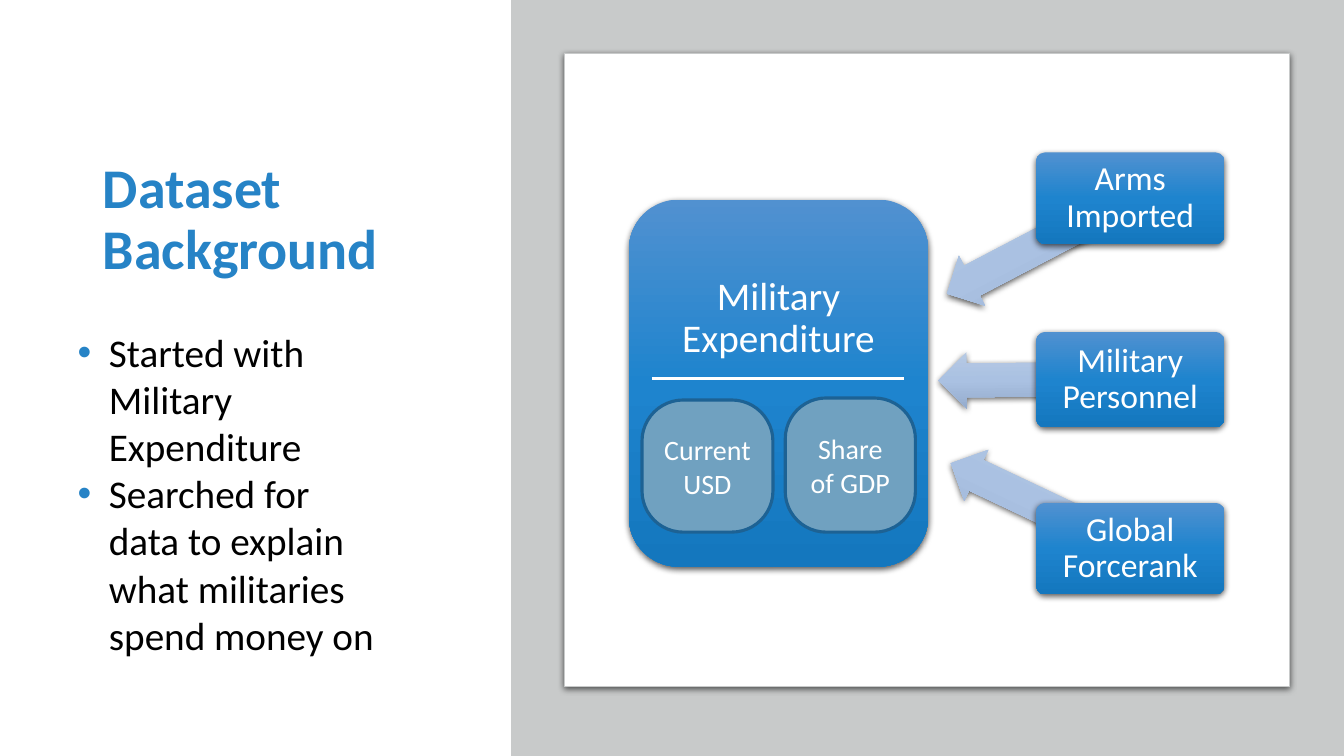
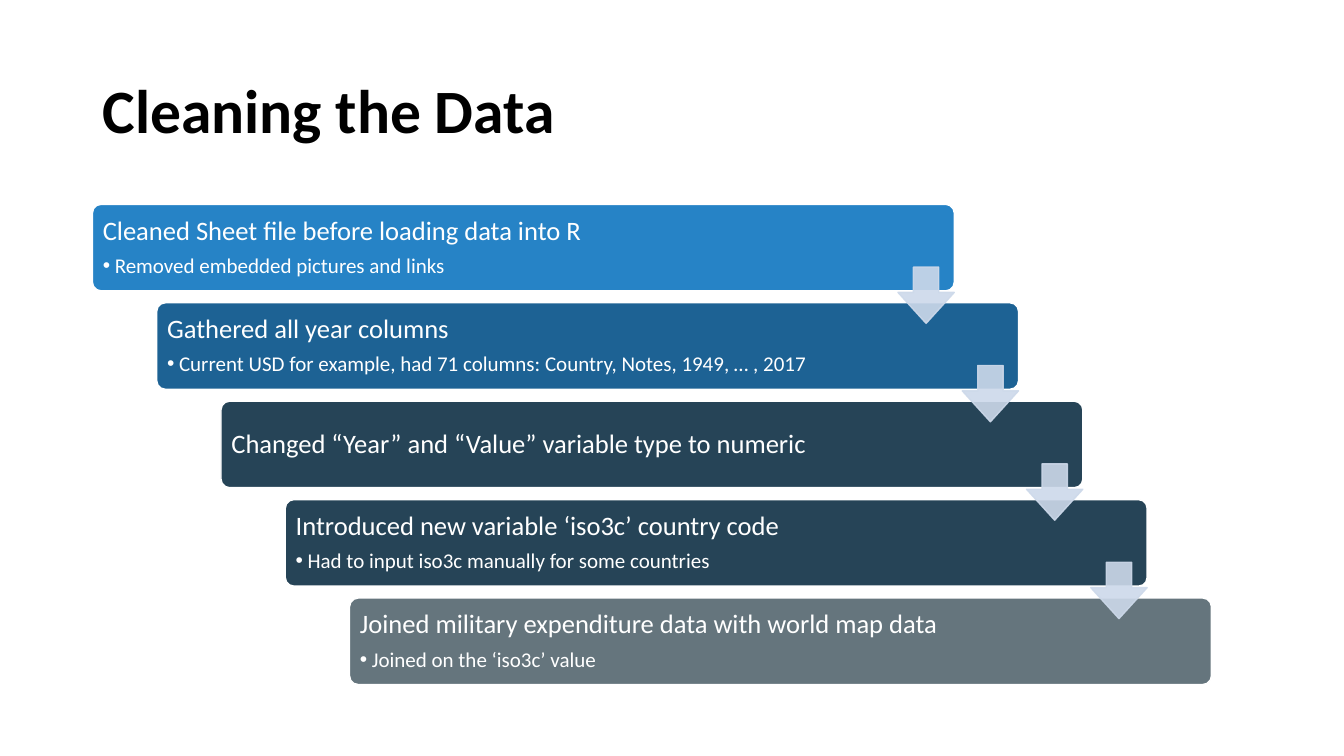
from dataclasses import dataclass

from pptx import Presentation
from pptx.dml.color import RGBColor
from pptx.enum.shapes import MSO_CONNECTOR, MSO_SHAPE as Shape
from pptx.enum.text import MSO_ANCHOR as Anchor, MSO_AUTO_SIZE as AutoSize, PP_ALIGN as Align
from pptx.oxml import parse_xml
from pptx.oxml.ns import nsdecls, qn
from pptx.oxml.xmlchemy import OxmlElement
from pptx.util import Cm, Pt

TITLE_AND_CONTENT, TITLE_ONLY = 1, 5


@dataclass(frozen=True)
class Theme:
    font: str = "Calibri"
    white: str = "FFFFFF"
    black: str = "000000"
    accent: str = "2683C6"
    navy: str = "1D6294"
    slate: str = "264457"
    steel: str = "65757D"
    grey: str = "C8CACA"
    pill: str = "70A1C0"
    pale: str = "CDD9EA"
    box_gradient: tuple = ("5191D0", "1E84CE", "1477BE")
    arrow_gradient: tuple = ("B7CAE4", "AAC1E2", "94ABCC")
    title: int = 44
    side_title: int = 40
    body: int = 28
    box: int = 24
    pill_text: int = 20
    step: int = 19
    detail: int = 15


class Deck:
    """Holds the style and the current slide."""

    def __init__(self, theme):
        self.theme = theme
        self.prs = Presentation()
        self.prs.slide_width, self.prs.slide_height = Cm(33.87), Cm(19.05)
        self.s = None

    def new_slide(self, layout):
        self.s = self.prs.slides.add_slide(self.prs.slide_layouts[layout])

    def _format(self, p, size, color, align=Align.LEFT, spacing=0.9, after=0, bold=False):
        p.alignment = align
        p.line_spacing = spacing
        p.space_before, p.space_after = Pt(0), Pt(after)
        for r in p.runs:
            font = r.font
            font.name, font.size, font.bold = self.theme.font, Pt(size), bold
            font.color.rgb = RGBColor.from_string(color)

    def _bullet(self, p, indent, color):
        """Hang a round bullet; call after the spacing is set."""
        pPr = p._p.get_or_add_pPr()
        pPr.set("marL", str(Cm(indent)))
        pPr.set("indent", str(-Cm(indent)))
        for xml in (f'<a:buClr {nsdecls("a")}><a:srgbClr val="{color}"/></a:buClr>',
                    f'<a:buFont {nsdecls("a")} typeface="Arial"/>',
                    f'<a:buChar {nsdecls("a")} char="•"/>'):
            pPr.append(parse_xml(xml))

    def _place(self, sp, at, anchor):
        sp.left, sp.top, sp.width, sp.height = map(Cm, at)
        tf = sp.text_frame
        tf.word_wrap, tf.auto_size, tf.vertical_anchor = True, AutoSize.NONE, anchor
        return tf

    def title(self, text, at, size, color, anchor=Anchor.MIDDLE):
        tf = self._place(self.s.shapes.title, at, anchor)
        tf.text = text
        self._format(tf.paragraphs[0], size, color, bold=True)

    def bullets(self, items, at):
        tf = self._place(self.s.placeholders[1], at, Anchor.TOP)
        tf.text = "\n".join(items)
        for p in tf.paragraphs:
            self._format(p, self.theme.body, self.theme.black, spacing=1.0)
            self._bullet(p, 0.79, self.theme.accent)

    def shape(self, kind, at, fill, line=None, width=1, adj=(), alpha=None):
        """Add a preset shape; a tuple as fill makes a vertical gradient."""
        sp = self.s.shapes.add_shape(kind, *map(Cm, at))
        sp.shadow.inherit = False
        for i, value in enumerate(adj):
            sp.adjustments[i] = value
        if isinstance(fill, tuple):
            self._gradient(sp, fill)
        else:
            sp.fill.solid()
            sp.fill.fore_color.rgb = RGBColor.from_string(fill)
        if line:
            sp.line.color.rgb = RGBColor.from_string(line)
            sp.line.width = Pt(width)
        else:
            sp.line.fill.background()
        if alpha:
            for color in sp._element.spPr.iter(qn("a:srgbClr")):
                color.append(parse_xml(f'<a:alpha {nsdecls("a")} val="{alpha * 1000}"/>'))
        return sp

    def _gradient(self, sp, colors):
        sp.fill.gradient()
        spPr = sp._element.spPr
        stops = "".join(f'<a:gs pos="{i * 50000}"><a:srgbClr val="{c}"/></a:gs>'
                        for i, c in enumerate(colors))
        spPr.replace(spPr.find(qn("a:gradFill")), parse_xml(
            f'<a:gradFill {nsdecls("a")} rotWithShape="1"><a:gsLst>{stops}</a:gsLst>'
            '<a:lin ang="5400000" scaled="0"/></a:gradFill>'))

    def raised(self, *args, **options):
        """Add a shape with a soft shadow below it."""
        sp = self.shape(*args, **options)
        sp._element.spPr.find(qn("a:effectLst")).append(parse_xml(
            f'<a:outerShdw {nsdecls("a")} blurRad="{Pt(4.5)}" dist="{Pt(1.5)}" dir="5400000"'
            ' rotWithShape="0"><a:srgbClr val="000000"><a:alpha val="63000"/></a:srgbClr>'
            '</a:outerShdw>'))
        return sp

    def label(self, sp, text, size, inset, anchor=Anchor.MIDDLE, top=None):
        """Write centred white text in a shape."""
        tf = self._frame(sp, inset, anchor)
        if top is not None:
            tf.margin_top = Cm(top)
        tf.text = text
        spacing = 1.0 if size == self.theme.pill_text else 0.9
        self._format(tf.paragraphs[0], size, self.theme.white, Align.CENTER, spacing)

    def _frame(self, sp, inset, anchor):
        tf = sp.text_frame
        tf.word_wrap, tf.vertical_anchor = True, anchor
        tf.margin_left = tf.margin_right = tf.margin_top = tf.margin_bottom = Cm(inset)
        return tf

    def step(self, at, fill, heading, detail):
        t = self.theme
        sp = self.shape(Shape.ROUNDED_RECTANGLE, at, fill, t.white, adj=(0.1,))
        tf = self._frame(sp, 0.2, Anchor.MIDDLE)
        tf.text = heading
        self._format(tf.paragraphs[0], t.step, t.white, after=6.6 if detail else 0)
        if detail:
            p = tf.add_paragraph()
            p.text, p.level = detail, 1
            self._format(p, t.detail, t.white, after=2)
            self._bullet(p, 0.3, t.white)

    def rule(self, x1, x2, y):
        line = self.s.shapes.add_connector(MSO_CONNECTOR.STRAIGHT, Cm(x1), Cm(y), Cm(x2), Cm(y))
        line.line.color.rgb = RGBColor.from_string(self.theme.white)
        line.line.width = Pt(2.25)
        line._element.spPr.append(OxmlElement("a:effectLst"))


def background_slide(deck):
    t = deck.theme
    deck.new_slide(TITLE_AND_CONTENT)
    deck.title("Dataset Background", (2.34, 3.91, 8.05, 3.6), t.side_title, t.accent, Anchor.TOP)
    deck.bullets(["Started with Military Expenditure",
                  "Searched for data to explain what militaries spend money on"],
                 (1.7, 8.15, 8.05, 8.64))
    deck.shape(Shape.RECTANGLE, (12.88, 0, 20.99, 19.05), t.grey)
    deck.raised(Shape.RECTANGLE, (14.22, 1.35, 18.29, 15.95), t.white, t.grey, 0.75)

    main = deck.raised(Shape.ROUNDED_RECTANGLE, (15.85, 5.03, 7.54, 9.25), t.box_gradient)
    deck.label(main, "Military Expenditure", t.body, 0.05, Anchor.TOP, top=1.57)

    sources = [
        ("Arms Imported", 3.84, 2.31, (23.6, 5.61, 4.67, 1.42), 332.4),
        ("Military Personnel", 8.36, 2.41, (23.65, 8.86, 4.83, 1.42), 359.5),
        ("Global Forcerank", 12.67, 2.31, (23.75, 11.91, 4.42, 1.42), 25.3),
    ]
    for text, top, height, arrow_at, angle in sources:
        arrow = deck.raised(Shape.LEFT_ARROW, arrow_at, t.arrow_gradient, adj=(0.6, 0.5))
        arrow.rotation = angle
        box = deck.raised(Shape.ROUNDED_RECTANGLE, (26.11, top, 4.75, height),
                          t.box_gradient, adj=(0.1,))
        deck.label(box, text, t.box, 0.13)

    for text, at in (("Current USD", (16.18, 10.08, 3.3, 3.33)),
                     ("Share of GDP", (19.79, 10.03, 3.28, 3.38))):
        pill = deck.shape(Shape.ROUNDED_RECTANGLE, at, t.pill, t.navy, 2.25, adj=(0.314,))
        deck.label(pill, text, t.pill_text, 0.24)
    deck.rule(16.43, 22.78, 9.53)


def cleaning_slide(deck):
    t = deck.theme
    deck.new_slide(TITLE_ONLY)
    deck.title("Cleaning the Data", (2.33, 1.01, 29.21, 3.68), t.title, t.black)
    steps = [
        (t.accent, "Cleaned Sheet file before loading data into R",
         "Removed embedded pictures and links"),
        (t.navy, "Gathered all year columns",
         "Current USD for example, had 71 columns: Country, Notes, 1949, … , 2017"),
        (t.slate, "Changed “Year” and “Value” variable type to numeric", None),
        (t.slate, "Introduced new variable ‘iso3c’ country code",
         "Had to input iso3c manually for some countries"),
        (t.steel, "Joined military expenditure data with world map data",
         "Joined on the ‘iso3c’ value"),
    ]
    corners = [(2.33 + 1.62 * i, 5.15 + 2.48 * i) for i in range(len(steps))]
    for (x, y), (fill, heading, detail) in zip(corners, steps):
        deck.step((x, y, 21.72, 2.18), fill, heading, detail)
    for x, y in corners[:-1]:
        deck.shape(Shape.DOWN_ARROW, (x + 20.3, y + 1.58, 1.42, 1.42), t.pale, t.pale,
                   adj=(0.45, 0.55), alpha=90)


def main():
    deck = Deck(Theme())
    background_slide(deck)
    cleaning_slide(deck)
    deck.prs.save("out.pptx")


if __name__ == "__main__":
    main()
